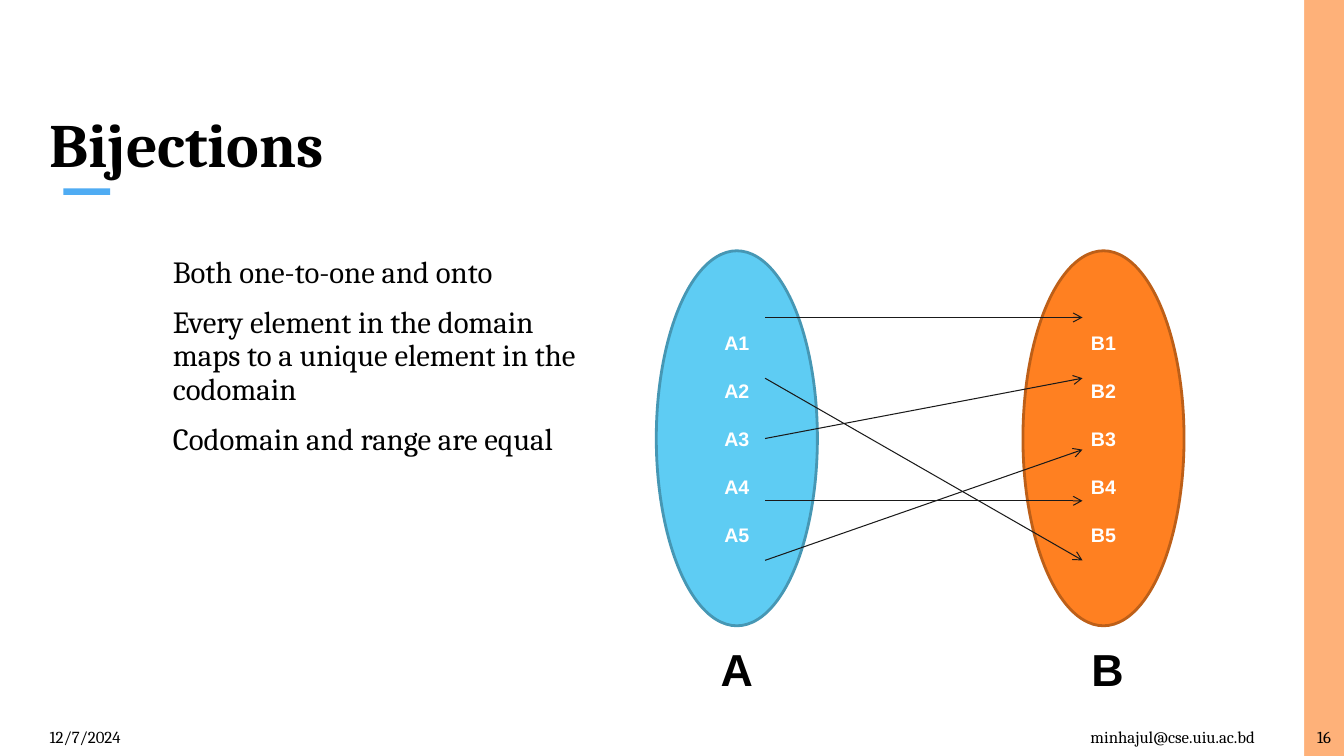
from lxml.etree import SubElement
from pptx import Presentation
from pptx.dml.color import RGBColor
from pptx.enum.shapes import MSO_CONNECTOR, MSO_SHAPE
from pptx.enum.text import MSO_ANCHOR, PP_ALIGN
from pptx.oxml.ns import qn
from pptx.util import Cm, Pt


def paint(color_format, color):
    """Set a fill's or a font's colour from a hex string."""
    color_format.rgb = RGBColor.from_string(color)


def write(shape, lines, font_name, size, color="000000", bold=False,
          align=PP_ALIGN.LEFT, anchor=MSO_ANCHOR.TOP, gap=0, spacing=1.0):
    """Put one paragraph per line into the shape, with gap points between them."""
    text_frame = shape.text_frame
    text_frame.word_wrap = True
    text_frame.vertical_anchor = anchor
    text_frame.text = "\n".join(lines)
    for index, paragraph in enumerate(text_frame.paragraphs):
        paragraph.alignment = align
        paragraph.line_spacing = spacing
        paragraph.space_before = Pt(gap if index else 0)
        for run in paragraph.runs:
            run.font.name = font_name
            run.font.size = Pt(size)
            run.font.bold = bold
            paint(run.font.color, color)


presentation = Presentation()
presentation.slide_width = Cm(33.87)
presentation.slide_height = Cm(19.05)
slide = presentation.slides.add_slide(presentation.slide_layouts[5])
shapes = slide.shapes
slide.background.fill.solid()
paint(slide.background.fill.fore_color, "FEB179")

# White page and title accent, placed behind the title
title = shapes.title
for left, top, width, height, color in [
    (0, 0, 32.87, 19.05, "FFFFFF"),
    (1.6, 4.75, 1.18, 0.16, "4FACF3"),
]:
    panel = shapes.add_shape(MSO_SHAPE.RECTANGLE, Cm(left), Cm(top), Cm(width), Cm(height))
    panel.shadow.inherit = False
    panel.fill.solid()
    paint(panel.fill.fore_color, color)
    panel.line.fill.background()
    title.element.addprevious(panel.element)

title.left, title.top, title.width, title.height = Cm(1), Cm(1), Cm(30.86), Cm(3.68)
write(title, ["Bijections"], "Cambria", 44, bold=True, anchor=MSO_ANCHOR.BOTTOM, spacing=0.9)

body = shapes.add_textbox(Cm(2.84), Cm(6.35), Cm(12.45), Cm(11.18))
body.text_frame.margin_left = Cm(1.52)
write(body, [
    "Both one-to-one and onto",
    "Every element in the domain maps to a unique element in the codomain",
    "Codomain and range are equal",
], "Cambria", 22, gap=12, spacing=0.9)

# Footer
for text, left, width, align in [
    ("12/7/2024", 1, 7.62, PP_ALIGN.LEFT),
    ("minhajul@cse.uiu.ac.bd", 20.45, 11.43, PP_ALIGN.RIGHT),
    ("16", 32.87, 1, PP_ALIGN.CENTER),
]:
    footer = shapes.add_textbox(Cm(left), Cm(18.06), Cm(width), Cm(0.99))
    write(footer, [text], "Cambria", 12, align=align, anchor=MSO_ANCHOR.MIDDLE)
    if text == "16":
        footer.text_frame.word_wrap = False

# The two sets with their elements and names
for name, left, label_left, fill_color, line_color in [
    ("A", 16.54, 16.54, "5ECCF3", "4697B4"),
    ("B", 25.78, 25.88, "FF8021", "BD5F18"),
]:
    ellipse = shapes.add_shape(MSO_SHAPE.OVAL, Cm(left), Cm(6.32), Cm(4.06), Cm(9.45))
    ellipse.shadow.inherit = False
    ellipse.fill.solid()
    paint(ellipse.fill.fore_color, fill_color)
    paint(ellipse.line.color, line_color)
    ellipse.line.width = Pt(2)
    write(ellipse, [f"{name}{number}" for number in range(1, 6)], "Arial", 14, "FFFFFF",
          bold=True, align=PP_ALIGN.CENTER, anchor=MSO_ANCHOR.MIDDLE, gap=17.5)
    label = shapes.add_textbox(Cm(label_left), Cm(16.05), Cm(4.06), Cm(1.63))
    write(label, [name], "Arial", 32, bold=True, align=PP_ALIGN.CENTER)

# Arrows from each element of A to its image in B
for start_y, end_y in [(8, 8), (9.53, 14.12), (11.05, 9.53), (12.62, 12.62), (14.12, 11.33)]:
    arrow = shapes.add_connector(MSO_CONNECTOR.STRAIGHT,
                                 Cm(19.28), Cm(start_y), Cm(27.28), Cm(end_y))
    paint(arrow.line.color, "1A1A1A")
    arrow.line.width = Pt(0.75)
    SubElement(arrow.line._get_or_add_ln(), qn("a:tailEnd"), type="arrow")
    SubElement(arrow.element.spPr, qn("a:effectLst"))

presentation.save("out.pptx")
